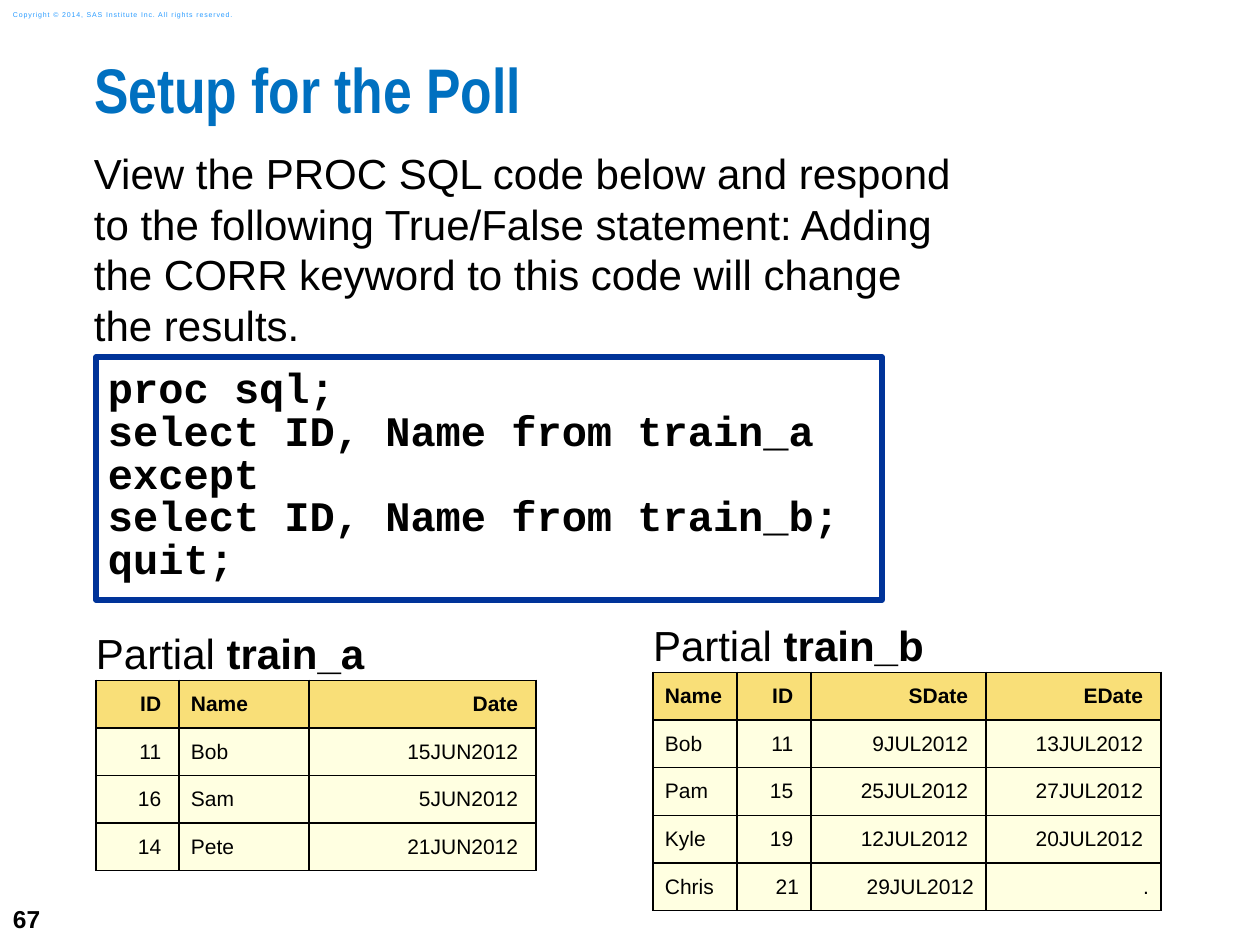
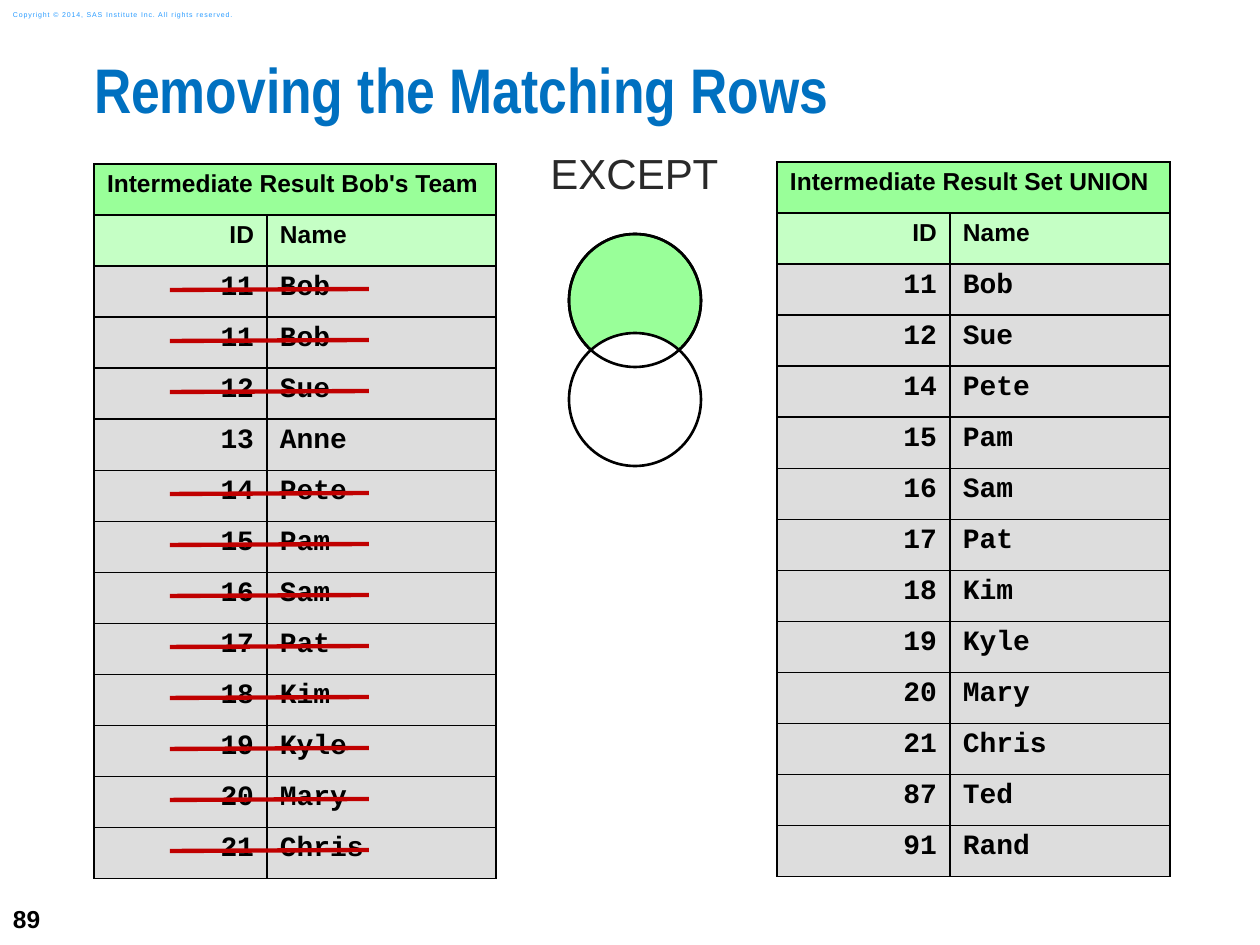
from collections import namedtuple

from lxml.etree import SubElement
from pptx import Presentation
from pptx.dml.color import RGBColor
from pptx.enum.shapes import MSO_CONNECTOR, MSO_SHAPE
from pptx.enum.text import MSO_ANCHOR, PP_ALIGN
from pptx.oxml.ns import qn
from pptx.util import Emu, Pt

BLACK = RGBColor(0x00, 0x00, 0x00)
WHITE = RGBColor(0xFF, 0xFF, 0xFF)
CHARCOAL = RGBColor(0x29, 0x29, 0x29)
TITLE_BLUE = RGBColor(0x00, 0x70, 0xC0)
COPYRIGHT_BLUE = RGBColor(0x2A, 0x9C, 0xFF)
CODE_BLUE = RGBColor(0x00, 0x33, 0x99)
STRIKE_RED = RGBColor(0xC0, 0x00, 0x00)
GOLD = RGBColor(0xF9, 0xDF, 0x78)
CREAM = RGBColor(0xFF, 0xFF, 0xE1)
GREEN = RGBColor(0x99, 0xFF, 0x99)
PALE_GREEN = RGBColor(0xC5, 0xFF, 0xC5)
GREY = RGBColor(0xDD, 0xDD, 0xDD)

SANS, NARROW, MONO = "Arial", "Arial Narrow", "Courier New"
LEFT, RIGHT, CENTER = PP_ALIGN.LEFT, PP_ALIGN.RIGHT, PP_ALIGN.CENTER
TOP, MIDDLE = MSO_ANCHOR.TOP, MSO_ANCHOR.MIDDLE
NO_INSETS = (0, 0, 0, 0)
CELL_INSETS = (13, 6, 13, 6)
FLAT_INSETS = (12, 0, 12, 0)

RowStyle = namedtuple("RowStyle", "fill size bold font insets anchor edge")
DATA_CAPTION = RowStyle(WHITE, 24, False, SANS, NO_INSETS, MIDDLE, WHITE)
DATA_HEAD = RowStyle(GOLD, 12, True, SANS, FLAT_INSETS, MIDDLE, BLACK)
DATA_BODY = RowStyle(CREAM, 12, False, SANS, FLAT_INSETS, MIDDLE, BLACK)
RESULT_CAPTION = RowStyle(GREEN, 14, True, SANS, CELL_INSETS, TOP, BLACK)
RESULT_HEAD = RowStyle(PALE_GREEN, 14, True, SANS, CELL_INSETS, TOP, BLACK)
RESULT_BODY = RowStyle(GREY, 16, True, MONO, CELL_INSETS, TOP, BLACK)


def px(length):
    """Turn pixels at 126 to the inch into EMU."""
    return Emu(round(length * 914400 / 126))


class Deck:
    """Holds the shared style and the slide being built."""

    def __init__(self):
        self.presentation = Presentation()
        self.presentation.slide_width = px(1260)
        self.presentation.slide_height = px(945)
        self.slide = None

    def add_slide(self, title, number):
        """Start a slide with its page number, copyright line and title."""
        self.slide = self.presentation.slides.add_slide(self.presentation.slide_layouts[6])
        self.text(0, 892, 73, 53, number, 14, BLACK, bold=True, insets=CELL_INSETS, anchor=MIDDLE)
        notice = self.text(0, 4, 266, 21, "Copyright © 2014, SAS Institute Inc. All rights reserved.",
                           4, COPYRIGHT_BLUE, insets=CELL_INSETS, anchor=MIDDLE)
        notice.paragraphs[0].runs[0].font._element.set("spc", "50")
        self.text(94, 63, 1166, 93, title, 36, TITLE_BLUE, bold=True, font=NARROW, spacing=0.83)

    def style(self, paragraph, size, color, bold, font, align=LEFT):
        """Set the font and alignment of a paragraph."""
        paragraph.alignment = align
        paragraph.font.size = Pt(size)
        paragraph.font.bold = bold
        paragraph.font.name = font
        paragraph.font.color.rgb = color

    def set_insets(self, holder, insets):
        """Set the four inner margins of a text frame or cell."""
        holder.margin_left, holder.margin_top, holder.margin_right, holder.margin_bottom = map(px, insets)

    def fill_frame(self, frame, text, size, color, bold=False, font=SANS, align=LEFT,
                   insets=NO_INSETS, anchor=TOP, spacing=None):
        """Write styled paragraphs into a text frame."""
        frame.word_wrap = True
        frame.vertical_anchor = anchor
        self.set_insets(frame, insets)
        frame.text = text
        for paragraph in frame.paragraphs:
            self.style(paragraph, size, color, bold, font, align)
            if spacing:
                paragraph.line_spacing = spacing
        return frame

    def text(self, x, y, width, height, text, size, color, **options):
        """Add a text box."""
        box = self.slide.shapes.add_textbox(px(x), px(y), px(width), px(height))
        return self.fill_frame(box.text_frame, text, size, color, **options)

    def shape(self, kind, x, y, width, height, fill, line, weight):
        """Add a preset shape, hollow when fill is None."""
        shape = self.slide.shapes.add_shape(kind, px(x), px(y), px(width), px(height))
        shape.shadow.inherit = False
        if fill is None:
            shape.fill.background()
        else:
            shape.fill.solid()
            shape.fill.fore_color.rgb = fill
        shape.line.color.rgb = line
        shape.line.width = Pt(weight)
        return shape

    def code(self, x, y, width, height, source):
        """Add a framed code listing."""
        listing = self.shape(MSO_SHAPE.RECTANGLE, x, y, width, height, WHITE, CODE_BLUE, 3)
        self.fill_frame(listing.text_frame, source, 24, BLACK, bold=True, font=MONO,
                        insets=(12, 12, 36, 12), spacing=0.85)

    def strike(self, x1, y1, x2, y2):
        """Add a red line that crosses out a row."""
        stroke = self.slide.shapes.add_connector(MSO_CONNECTOR.STRAIGHT, px(x1), px(y1), px(x2), px(y2))
        stroke.line.color.rgb = STRIKE_RED
        stroke.line.width = Pt(2.5)
        SubElement(stroke._element.spPr, qn("a:effectLst"))

    def borders(self, cell, edge):
        """Draw 1 pt cell borders, with a black one below."""
        properties = cell._tc.get_or_add_tcPr()
        for side, color in (("lnL", edge), ("lnR", edge), ("lnT", edge), ("lnB", BLACK)):
            border = SubElement(properties, qn(f"a:{side}"), w="12700")
            SubElement(SubElement(border, qn("a:solidFill")), qn("a:srgbClr"), val=str(color))

    def table(self, x, y, widths, height, caption, rows, aligns, styles):
        """Add a table with a merged caption, a heading row and body rows."""
        frame = self.slide.shapes.add_table(len(rows) + 1, len(widths), px(x), px(y), px(sum(widths)), px(height))
        table = frame.table
        table.first_row = table.horz_banding = False
        for column, width in zip(table.columns, widths):
            column.width = px(width)
        table.cell(0, 0).merge(table.cell(0, len(widths) - 1))
        caption_row = [caption] + [""] * (len(widths) - 1)
        for r, texts in enumerate([caption_row, *rows]):
            look = styles[min(r, 2)]
            for c, text in enumerate(texts):
                cell = table.cell(r, c)
                self.borders(cell, look.edge)
                cell.fill.solid()
                cell.fill.fore_color.rgb = look.fill
                cell.vertical_anchor = look.anchor
                self.set_insets(cell, look.insets)
                paragraph = cell.text_frame.paragraphs[0]
                if text:
                    paragraph.text = text
                self.style(paragraph, look.size, BLACK, look.bold, look.font, aligns[c] if r else LEFT)
        return table

    def data_table(self, x, y, widths, height, name, rows, aligns):
        """Add a yellow table captioned with a data set name."""
        table = self.table(x, y, widths, height, "Partial ", rows, aligns,
                           (DATA_CAPTION, DATA_HEAD, DATA_BODY))
        data_set = table.cell(0, 0).text_frame.paragraphs[0].add_run()
        data_set.text = name
        data_set.font.bold = True

    def result_table(self, x, y, widths, caption, rows):
        """Add a green and grey result table."""
        self.table(x, y, widths, 715, caption, [("ID", "Name"), *rows], (RIGHT, LEFT),
                   (RESULT_CAPTION, RESULT_HEAD, RESULT_BODY))


def build_poll(deck):
    """Build the poll slide."""
    deck.add_slide("Setup for the Poll", "67")
    deck.text(94, 148, 1081, 587,
              "View the PROC SQL code below and respond \v"
              "to the following True/False statement: Adding \v"
              "the CORR keyword to this code will change \v"
              "the results.", 24, BLACK)
    deck.code(96, 357, 786, 243,
              "proc sql;\nselect ID, Name from train_a\nexcept\n"
              "select ID, Name from train_b;\nquit;")
    train_a = [("ID ", "Name", "Date "),
               ("11 ", "Bob", "15JUN2012 "),
               ("16 ", "Sam", "5JUN2012 "),
               ("14 ", "Pete", "21JUN2012 ")]
    train_b = [("Name", "ID ", "SDate ", "EDate "),
               ("Bob", "11 ", "9JUL2012 ", "13JUL2012 "),
               ("Pam", "15 ", "25JUL2012 ", "27JUL2012 "),
               ("Kyle", "19 ", "12JUL2012 ", "20JUL2012 "),
               ("Chris", "21", "29JUL2012", ".")]
    deck.data_table(96, 630, (83, 130, 227), 238, "train_a", train_a, (RIGHT, LEFT, RIGHT))
    deck.data_table(653, 622, (84, 74, 175, 175), 286, "train_b", train_b, (LEFT, RIGHT, RIGHT, RIGHT))


def build_matching_rows(deck):
    """Build the slide that crosses out the matching rows."""
    deck.add_slide("Removing the Matching Rows", "89")
    shared = [("14", "Pete"), ("15", "Pam"), ("16", "Sam"), ("17", "Pat"),
              ("18", "Kim"), ("19", "Kyle"), ("20", "Mary"), ("21", "Chris")]
    bob, sue = ("11", "Bob"), ("12", "Sue")
    team = [bob, bob, sue, ("13", "Anne"), *shared]
    union = [bob, sue, *shared, ("87", "Ted"), ("91", "Rand")]
    deck.result_table(94, 164, (173, 229), "Intermediate Result Bob's Team", team)
    deck.text(94, 148, 1081, 587, "EXCEPT", 24, CHARCOAL, align=CENTER)
    deck.result_table(777, 162, (173, 220), "Intermediate Result Set UNION", union)
    for index, member in enumerate(team):
        if member in union:
            middle = 290 + 51 * index
            deck.strike(170, middle, 369, middle - 1)
    for top, fill in ((234, GREEN), (333, WHITE), (234, None)):
        deck.shape(MSO_SHAPE.OVAL, 569, top, 132, 133, fill, BLACK, 1.5)


def main():
    """Build and save the slides."""
    deck = Deck()
    build_poll(deck)
    build_matching_rows(deck)
    deck.presentation.save("out.pptx")


if __name__ == "__main__":
    main()
